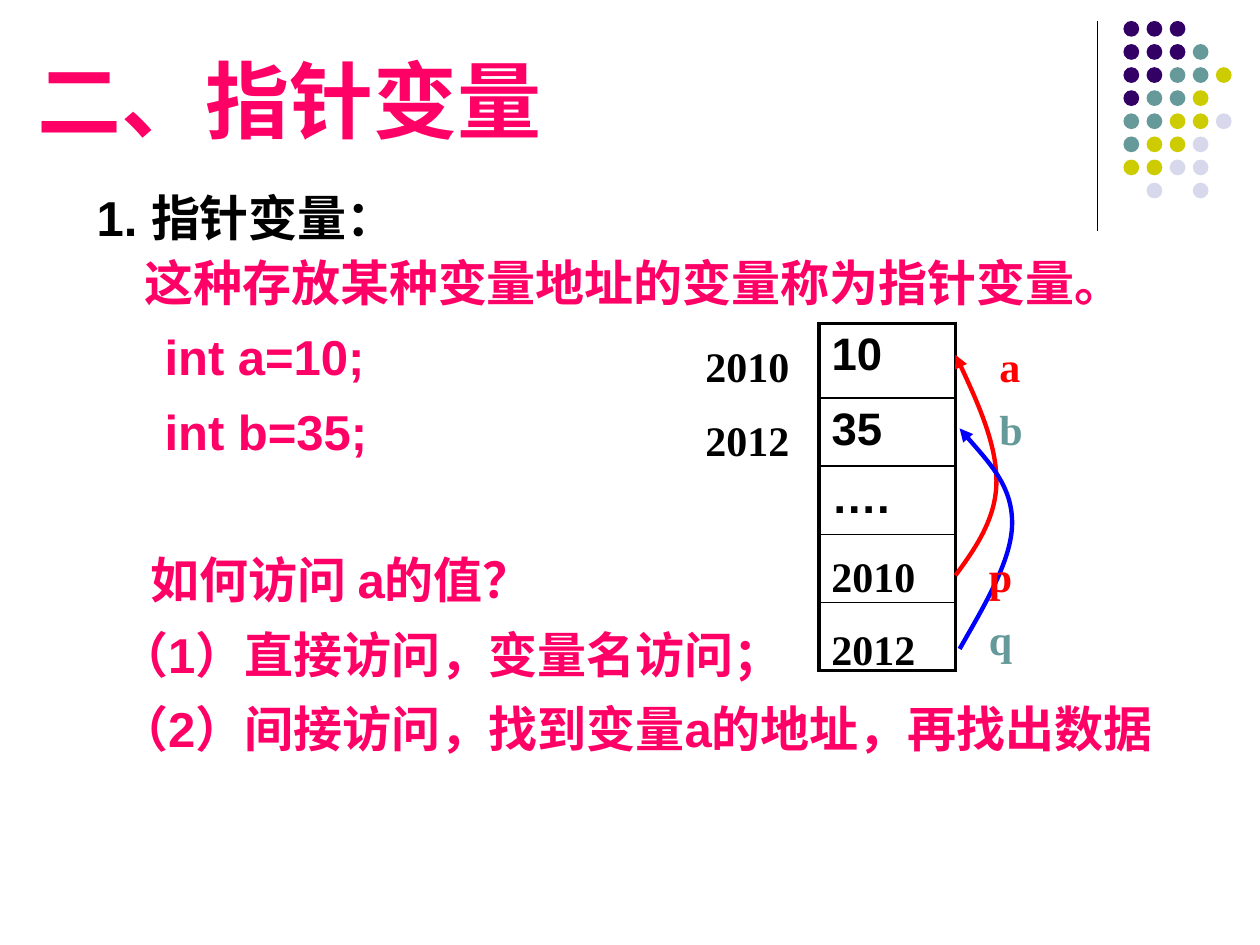
from copy import deepcopy
from dataclasses import dataclass

from lxml.etree import SubElement
from pptx import Presentation
from pptx.dml.color import RGBColor
from pptx.enum.shapes import MSO_CONNECTOR as Conn, MSO_SHAPE as Shape
from pptx.enum.text import MSO_ANCHOR as Anchor, MSO_AUTO_SIZE as Auto, PP_ALIGN as Align
from pptx.oxml.ns import qn
from pptx.util import Inches, Pt

COLS, ROWS = 120, 90
BLACK, PINK, RED, BLUE, TEAL = "000000", "FF0066", "FF0000", "0000FF", "669999"
DOT_COLORS = {"v": "330066", "t": TEAL, "y": "CCCC00", "l": "D8D8EC"}
DOT_ROWS = ["vvv", "vvvt", "vvtty", "vtty", "ttyyl", "tyyl", "yyll", " l l"]
DOT_LEFT, DOT_TOP, DOT_PITCH, DOT_SIZE = 107, 2, 2.2, 1.5
TABLE_LEFT, TABLE_TOP, TABLE_WIDTH = 78, 30.8, 13
ROW_HEIGHTS = [7.1, 6.5, 6.5, 6.5, 6.5]
CELLS = ["10", "35", "….", "", ""]


@dataclass
class Item:
    text: str
    margin: float
    indent: float = 0
    before: float = 5.6


@dataclass
class Label:
    text: str
    col: float
    row: float
    width: float
    color: str


@dataclass
class Curve:
    points: list[tuple[float, float]]
    color: str


ITEMS = [
    Item("int a=10;", 0.54),
    Item("int b=35;", 0.54),
    Item("如何访问 a的值？", 0.43, before=48),
    Item("（1）直接访问，变量名访问；", 0.38, -0.2),
    Item("（2）间接访问，找到变量a的地址，再找出数据", 0.38, -0.2),
]
MEMORY_LABELS = [
    Label("a", 94, 31.8, 5, RED),
    Label("b", 94, 37.8, 5, TEAL),
    Label("2010", 66, 31.8, 11, BLACK),
    Label("2012", 66, 38.9, 11, BLACK),
]
POINTER_LABELS = [
    [Label("p", 93, 51.8, 5, RED), Label("2010", 78, 51.8, 13, BLACK)],
    [Label("q", 93, 57.8, 5, TEAL), Label("2012", 78, 58.8, 13, BLACK)],
]
CURVES = [
    Curve([(91, 54.8), (93, 52.1), (94.9, 49.3), (94.9, 45.8),
           (94.9, 42.4), (93, 38), (91, 33.8)], RED),
    Curve([(91.4, 61.8), (93.8, 57.6), (96.4, 53.3), (96.4, 49.8),
           (96.4, 46.3), (93.8, 43.6), (91.4, 40.8)], BLUE),
]

prs = Presentation()
prs.slide_width, prs.slide_height = Inches(10), Inches(7.5)


def x(cols: float) -> int:
    return round(prs.slide_width * cols / COLS)


def y(rows: float) -> int:
    return round(prs.slide_height * rows / ROWS)


def rgb(color: str) -> RGBColor:
    return RGBColor.from_string(color)


def add_run(p, text: str, size: float, color: str, font: str = "Arial"):
    r = p.add_run()
    r.text = text
    r.font.size, r.font.bold, r.font.name = Pt(size), True, font
    r.font.color.rgb = rgb(color)
    return r


def place(sp, col: float, row: float, width: float, height: float) -> None:
    sp.left, sp.top, sp.width, sp.height = x(col), y(row), x(width), y(height)
    sp.text_frame.auto_size = Auto.NONE


def format_item(p, margin: float, indent: float, before: float) -> None:
    p.line_spacing, p.space_before = 1.1, Pt(before)
    pPr = p._p.get_or_add_pPr()
    pPr.set("marL", str(Inches(margin)))
    pPr.set("indent", str(Inches(indent)))
    SubElement(pPr, qn("a:buNone"))


def fill_body(sp) -> None:
    tf = sp.text_frame
    tf.vertical_anchor = Anchor.TOP
    p = tf.paragraphs[0]
    format_item(p, 0.38, -0.38, 5.6)
    r = add_run(p, "1. 指针变量：", 28, BLACK)
    p.add_line_break()
    p._p[-1].append(deepcopy(r._r.rPr))
    add_run(p, "这种存放某种变量地址的变量称为指针变量。", 28, PINK)
    for item in ITEMS:
        p = tf.add_paragraph()
        format_item(p, item.margin, item.indent, item.before)
        add_run(p, item.text, 28, PINK)


def draw_dots(shapes) -> None:
    for i, row in enumerate(DOT_ROWS):
        for j, key in enumerate(row):
            if key == " ":
                continue
            sp = shapes.add_shape(Shape.OVAL, x(DOT_LEFT + j * DOT_PITCH),
                                  y(DOT_TOP + i * DOT_PITCH), x(DOT_SIZE), y(DOT_SIZE))
            sp.shadow.inherit = False
            sp.fill.solid()
            sp.fill.fore_color.rgb = rgb(DOT_COLORS[key])
            sp.line.fill.background()


def set_border(cell, side: str, width: float) -> None:
    ln = SubElement(cell._tc.get_or_add_tcPr(), qn(f"a:{side}"), w=str(Pt(width)))
    SubElement(SubElement(ln, qn("a:solidFill")), qn("a:srgbClr"), val=BLACK)


def draw_table(shapes) -> None:
    table = shapes.add_table(len(CELLS), 1, x(TABLE_LEFT), y(TABLE_TOP),
                             x(TABLE_WIDTH), y(sum(ROW_HEIGHTS))).table
    table.first_row = table.horz_banding = False
    for i, (text, height) in enumerate(zip(CELLS, ROW_HEIGHTS)):
        table.rows[i].height = y(height)
        cell = table.cell(i, 0)
        set_border(cell, "lnL", 2.25)
        set_border(cell, "lnR", 2.25)
        set_border(cell, "lnT", 2.25 if i == 0 else 1)
        set_border(cell, "lnB", 2.25 if i == len(CELLS) - 1 else 1)
        cell.fill.background()
        if text:
            add_run(cell.text_frame.paragraphs[0], text, 26, BLACK)


def draw_label(shapes, label: Label) -> None:
    sp = shapes.add_textbox(x(label.col), y(label.row), x(label.width), y(6))
    tf = sp.text_frame
    tf.word_wrap, tf.auto_size = True, Auto.SHAPE_TO_FIT_TEXT
    add_run(tf.paragraphs[0], label.text, 24, label.color, "Times New Roman")


def draw_curve(shapes, curve: Curve) -> None:
    start, *rest = [(x(col), y(row)) for col, row in curve.points]
    builder = shapes.build_freeform(*start)
    builder.add_line_segments(rest, close=False)
    sp = builder.convert_to_shape()
    sp.shadow.inherit = False
    sp.fill.background()
    sp.line.color.rgb, sp.line.width = rgb(curve.color), Pt(2.5)
    SubElement(sp.line._get_or_add_ln(), qn("a:tailEnd"), type="triangle")
    segments = list(sp._element.iter(qn("a:lnTo")))
    outline = segments[0].getparent()
    for k in range(0, len(segments), 3):
        bezier = SubElement(outline, qn("a:cubicBezTo"))
        for segment in segments[k:k + 3]:
            bezier.append(segment[0])
            outline.remove(segment)


def main() -> None:
    s = prs.slides.add_slide(prs.slide_layouts[1])
    title, body = s.placeholders
    place(title, 2.4, 5.3, 99, 9.5)
    title.text_frame.vertical_anchor = Anchor.BOTTOM
    p = title.text_frame.paragraphs[0]
    p.alignment = Align.LEFT
    add_run(p, "二、指针变量", 48, PINK)
    place(body, 8, 16.7, 106.8, 59.5)
    fill_body(body)

    rule = s.shapes.add_connector(Conn.STRAIGHT, x(104.5), y(2), x(104.5), y(22))
    rule.line.color.rgb, rule.line.width = rgb(BLACK), Pt(0.75)
    SubElement(rule._element.spPr, qn("a:effectLst"))
    draw_dots(s.shapes.add_group_shape().shapes)

    draw_table(s.shapes)
    for label in MEMORY_LABELS:
        draw_label(s.shapes, label)
    for curve in CURVES:
        draw_curve(s.shapes, curve)
    for pair in POINTER_LABELS:
        group = s.shapes.add_group_shape()
        for label in pair:
            draw_label(group.shapes, label)
    prs.save("out.pptx")


if __name__ == "__main__":
    main()
